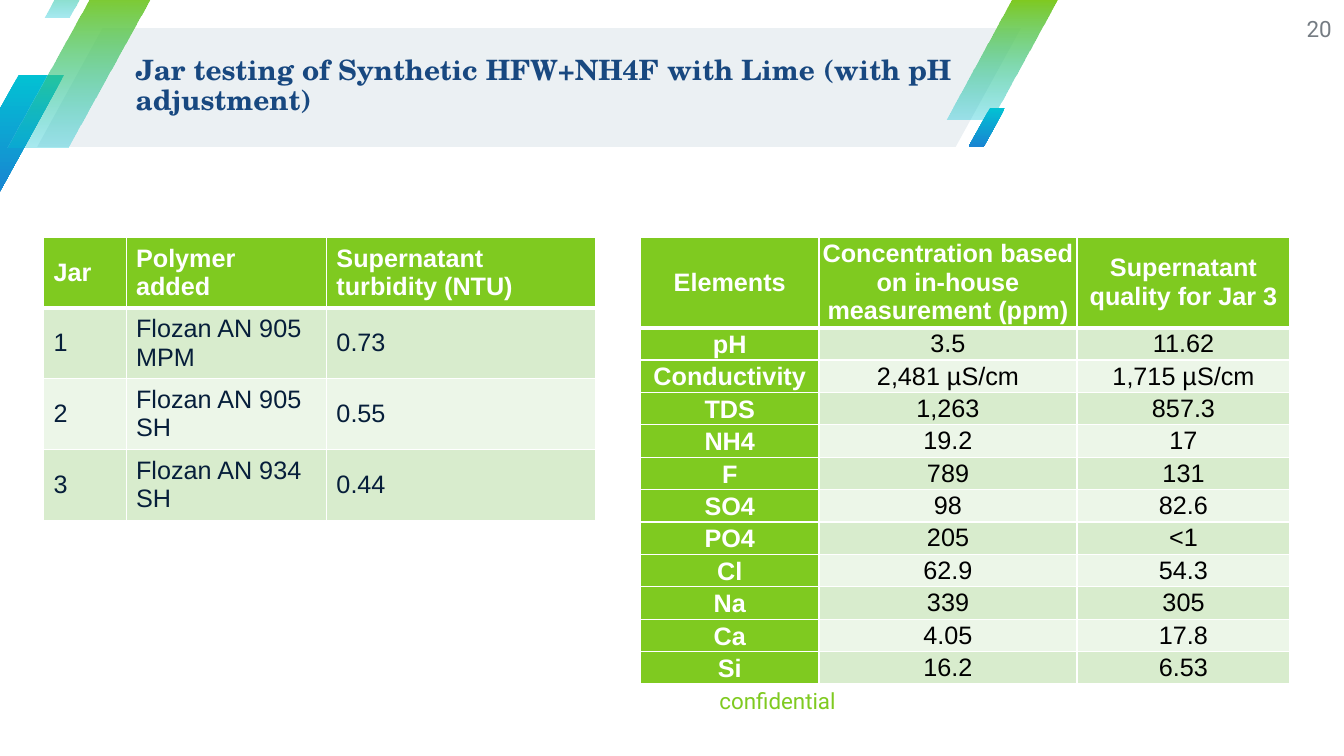
from lxml import etree
from pptx import Presentation
from pptx import util as u
from pptx.dml.color import RGBColor
from pptx.enum import shapes, text
from pptx.oxml.ns import qn

WHITE = RGBColor(0xFF, 0xFF, 0xFF)
BLACK = RGBColor(0, 0, 0)
PALE_GREY = RGBColor(0xEB, 0xF0, 0xF3)
GREEN = RGBColor(0x7F, 0xCA, 0x20)
CYAN = RGBColor(0x02, 0xC1, 0xD3)
BLUE = RGBColor(0x19, 0x85, 0xD2)
TITLE_BLUE = RGBColor(0x18, 0x48, 0x80)
NAVY = RGBColor(0x06, 0x1E, 0x3A)
NUMBER_GREY = RGBColor(0x75, 0x7C, 0x83)
BANDS = (RGBColor(0xD8, 0xEC, 0xCD), RGBColor(0xEC, 0xF6, 0xE8))

LEFT, CENTER, RIGHT = (text.PP_ALIGN.LEFT, text.PP_ALIGN.CENTER,
                       text.PP_ALIGN.RIGHT)

JARS = [
    ("Jar", "Polymer added", "Supernatant turbidity (NTU)"),
    ("1", "Flozan AN 905 MPM", "0.73"),
    ("2", "Flozan AN 905 SH", "0.55"),
    ("3", "Flozan AN 934 SH", "0.44"),
]
ELEMENTS = [
    ("Elements", "Concentration based on in-house measurement (ppm)",
     "Supernatant quality for Jar 3"),
    ("pH", "3.5", "11.62"),
    ("Conductivity", "2,481 µS/cm", "1,715 µS/cm"),
    ("TDS", "1,263", "857.3"),
    ("NH4", "19.2", "17"),
    ("F", "789", "131"),
    ("SO4", "98", "82.6"),
    ("PO4", "205", "<1"),
    ("Cl", "62.9", "54.3"),
    ("Na", "339", "305"),
    ("Ca", "4.05", "17.8"),
    ("Si", "16.2", "6.53"),
]


class SlideBuilder:
    body_font = "Arial"
    label_font = "Roboto"
    title_font = "TeX Gyre Schola"

    def __init__(self, slide):
        self.slide = slide

    def add_words(self, paragraph, words, font, size, color, bold=False, align=LEFT):
        paragraph.alignment = align
        run = paragraph.add_run()
        run.text = words
        run.font.name = font
        run.font.size = u.Pt(size)
        run.font.bold = bold
        run.font.color.rgb = color

    def stripe(self, left, top, width, height, slant, start, end=None, opacity=100):
        """Add a parallelogram, fading downwards from start to end if end is given."""
        shape = self.slide.shapes.add_shape(
            shapes.MSO_SHAPE.PARALLELOGRAM,
            u.Cm(left), u.Cm(top), u.Cm(width), u.Cm(height))
        shape.adjustments[0] = slant
        shape.shadow.inherit = False
        shape.line.fill.background()
        if end is None:
            shape.fill.solid()
            shape.fill.fore_color.rgb = start
            return
        shape.fill.gradient()
        shape.fill.gradient_angle = 270
        for stop, color in zip(shape.fill.gradient_stops, (start, end)):
            stop.color.rgb = color
        if opacity < 100:
            last_color = shape._element.spPr.findall(".//" + qn("a:srgbClr"))[-1]
            etree.SubElement(last_color, qn("a:alpha"), val=str(opacity * 1000))

    def label(self, left, top, width, height, words, font, size, color,
              bold=False, align=RIGHT, spacing=1.0):
        box = self.slide.shapes.add_textbox(
            u.Cm(left), u.Cm(top), u.Cm(width), u.Cm(height))
        frame = box.text_frame
        frame.word_wrap = True
        frame.vertical_anchor = text.MSO_ANCHOR.MIDDLE
        frame.margin_left = frame.margin_right = 0
        frame.margin_top = frame.margin_bottom = 0
        paragraph = frame.paragraphs[0]
        paragraph.line_spacing = spacing
        self.add_words(paragraph, words, font, size, color, bold, align)

    def cell_borders(self, cell, top, bottom):
        properties = cell._tc.get_or_add_tcPr()
        for side, points in (("L", 1), ("R", 1), ("T", top), ("B", bottom)):
            line = etree.SubElement(properties, qn("a:ln" + side),
                                    w=str(u.Pt(points)))
            fill = etree.SubElement(line, qn("a:solidFill"))
            etree.SubElement(fill, qn("a:srgbClr"), val=str(WHITE))

    def table(self, left, top, widths, header_height, row_height, rows, color,
              margins, align=LEFT, green_first_column=False):
        table = self.slide.shapes.add_table(
            len(rows), len(widths), u.Cm(left), u.Cm(top), u.Cm(sum(widths)),
            u.Cm(header_height + row_height * (len(rows) - 1))).table
        for column, width in zip(table.columns, widths):
            column.width = u.Cm(width)
        for r, values in enumerate(rows):
            table.rows[r].height = u.Cm(row_height if r else header_height)
            for c, value in enumerate(values):
                cell = table.cell(r, c)
                row_head = green_first_column and r > 0 and c == 0
                green = r == 0 or row_head
                self.cell_borders(cell, 3 if r == 1 else 1, 3 if r == 0 else 1)
                cell.fill.solid()
                cell.fill.fore_color.rgb = GREEN if green else BANDS[(r - 1) % 2]
                cell.vertical_anchor = text.MSO_ANCHOR.MIDDLE
                cell.margin_left = cell.margin_right = u.Cm(margins[0])
                cell.margin_top = cell.margin_bottom = u.Cm(margins[1])
                paragraph = cell.text_frame.paragraphs[0]
                if row_head:
                    paragraph.line_spacing = 1.07
                    paragraph.space_after = u.Pt(8)
                self.add_words(paragraph, value, self.body_font, 18,
                               WHITE if green else color, green, align)


def main():
    deck = Presentation()
    deck.slide_width, deck.slide_height = u.Cm(33.87), u.Cm(19.05)
    page = SlideBuilder(deck.slides.add_slide(deck.slide_layouts[6]))

    page.stripe(0.94, 0.71, 24.79, 2.99, 0.55, PALE_GREY)
    page.stripe(-1.17, 1.88, 2.79, 2.99, 0.59, CYAN, BLUE)
    for left, top, width, height in ((23.85, 0, 2.79, 3),
                                     (0.2, -0.25, 3.71, 3.97),
                                     (1.12, -1.22, 1.55, 1.66)):
        page.stripe(left, top, width, height, 0.59, GREEN, CYAN, 34)
    page.stripe(24.41, 2.72, 0.92, 0.98, 0.59, CYAN, BLUE)

    page.label(11.86, 16.94, 9.2, 1.45, "confidential",
               page.label_font, 16, GREEN)
    page.label(3.42, 0.66, 22.33, 3.02,
               "Jar testing of Synthetic HFW+NH4F with Lime (with pH adjustment)",
               page.title_font, 20, TITLE_BLUE, bold=True, align=LEFT, spacing=0.9)
    page.label(31.96, 0, 1.6, 1.45, "20", page.label_font, 16, NUMBER_GREY)

    page.table(16.14, 5.97, (4.5, 6.5, 5.37), 2.13, 0.77, ELEMENTS, BLACK,
               margins=(0.07, 0), align=CENTER, green_first_column=True)
    page.table(1.1, 5.97, (2.08, 5.05, 6.78), 1.67, 1.69, JARS, NAVY,
               margins=(0.25, 0.13))
    deck.save("out.pptx")


if __name__ == "__main__":
    main()
